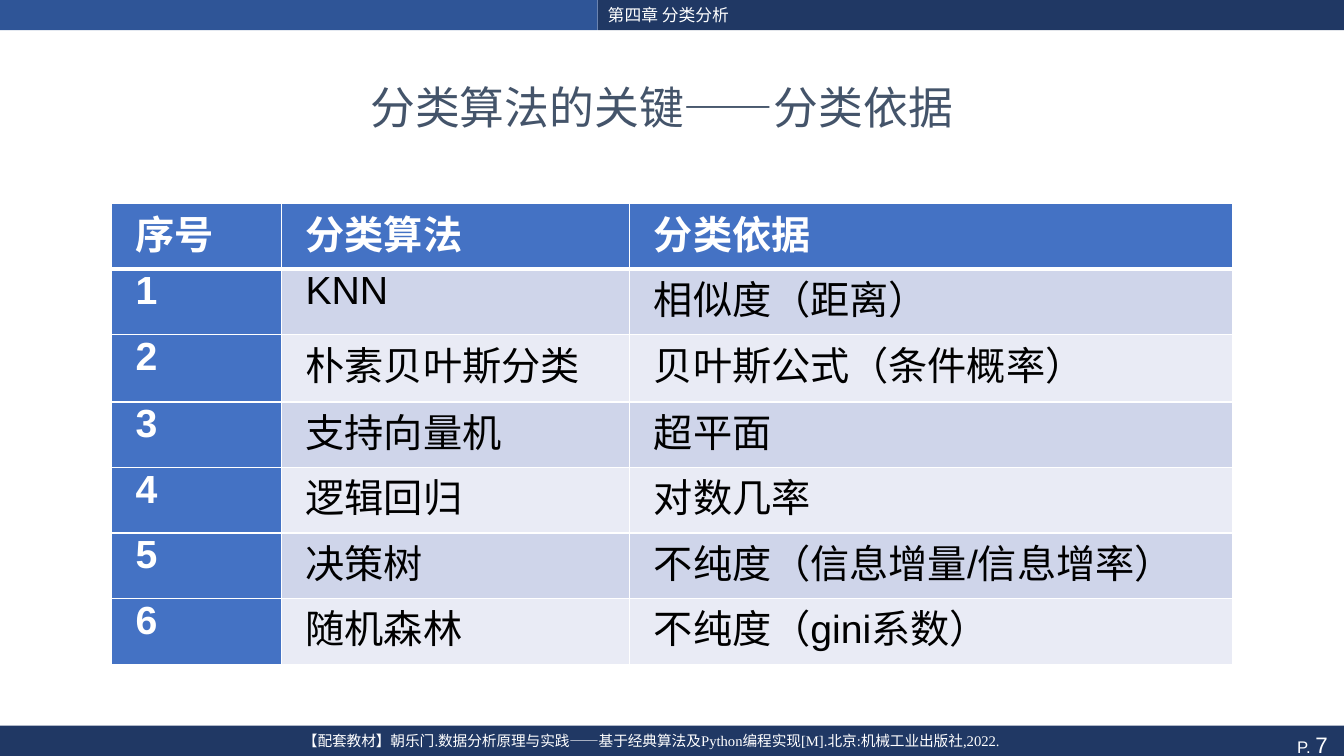
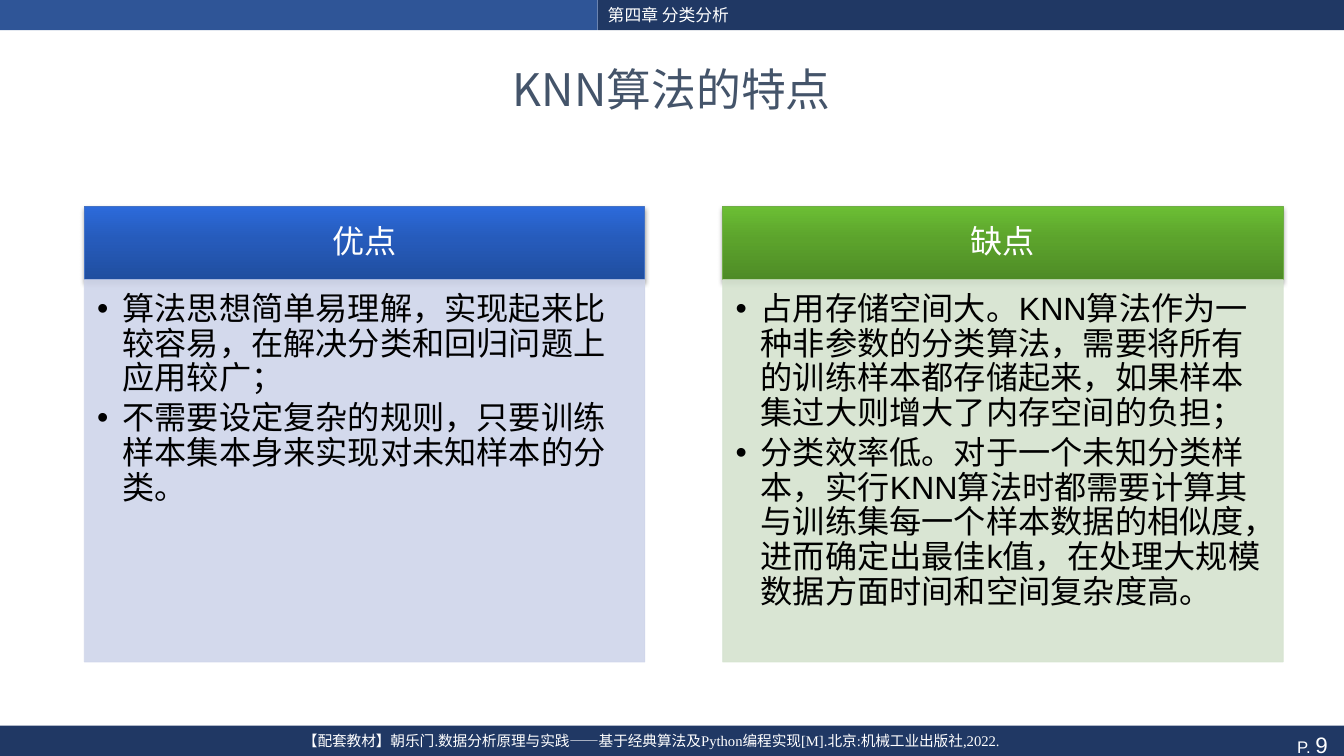
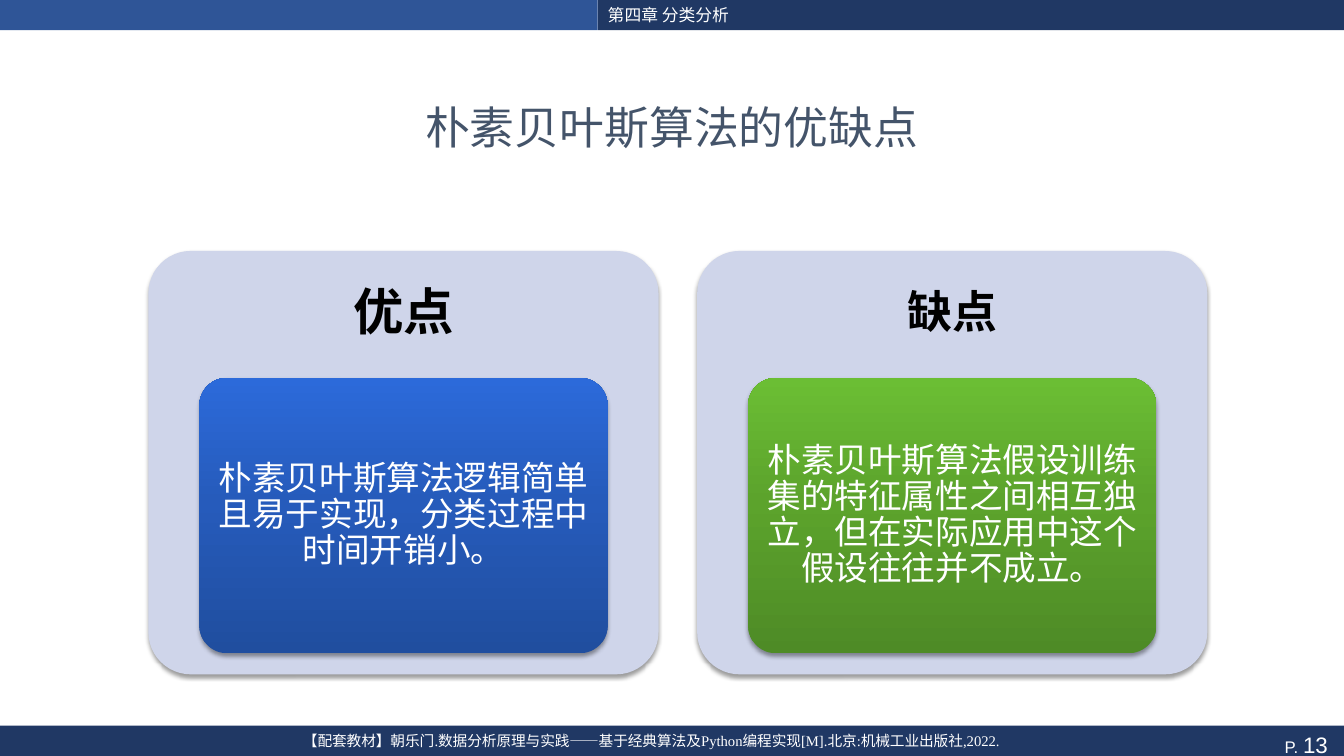
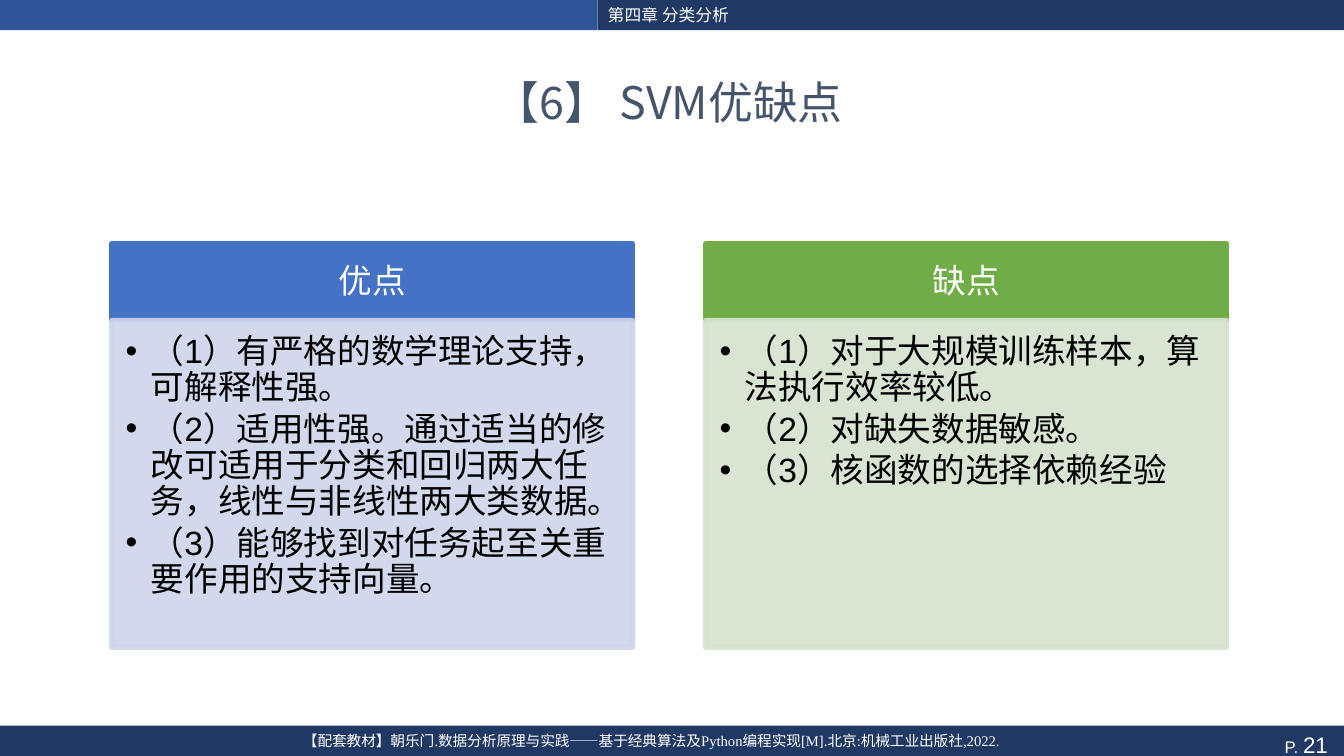
from lxml.etree import SubElement
from pptx import Presentation
from pptx.dml.color import RGBColor
from pptx.enum.shapes import MSO_SHAPE as Kind
from pptx.enum.text import MSO_ANCHOR as Anchor, PP_ALIGN as Align
from pptx.oxml.ns import qn
from pptx.util import Pt

# Shared style
HEX = {
    "white": "FFFFFF", "black": "000000", "slate": "44546A",
    "navy": "203864", "steel": "2F5597",
    "blue": "4472C4", "mist": "CFD5EA", "haze": "E9EBF5",
    "green": "70AD47", "sage": "D5E3CF",
}
GRADS = {
    "blue": [(0, "204E9F"), (55, "265BBB"), (100, "2C6ADA")],
    "green": [(0, "4E8B26"), (55, "5CA32C"), (100, "6BBE34")],
}
SANS, SERIF, HAN = "Arial", "Times New Roman", "Noto Sans CJK SC"
WIDE, HIGH, BAND, SPLIT = 960, 540, 21.6, 427
INSET = (7.2, 3.6, 7.2, 3.6)
TINTS = [("blue", "mist"), ("green", "sage")]

# Content
CHAPTER = "第四章 分类分析"
BOOK = ("【配套教材】朝乐门.数据分析原理与实践——基于经典算法及Python编程实现"
        "[M].北京:机械工业出版社,2022.")
METHODS = [
    ("序号", "分类算法", "分类依据"),
    ("1", "KNN", "相似度（距离）"),
    ("2", "朴素贝叶斯分类", "贝叶斯公式（条件概率）"),
    ("3", "支持向量机", "超平面"),
    ("4", "逻辑回归", "对数几率"),
    ("5", "决策树", "不纯度（信息增量/信息增率）"),
    ("6", "随机森林", "不纯度（gini系数）"),
]
KNN = [
    ("优点", ["算法思想简单易理解，实现起来比较容易，在解决分类和回归问题上应用较广；",
            "不需要设定复杂的规则，只要训练样本集本身来实现对未知样本的分类。"]),
    ("缺点", ["占用存储空间大。KNN算法作为一种非参数的分类算法，需要将所有的训练样本都存储起来，"
            "如果样本集过大则增大了内存空间的负担；",
            "分类效率低。对于一个未知分类样本，实行KNN算法时都需要计算其与训练集每一个样本数据的相似度，"
            "进而确定出最佳k值，在处理大规模数据方面时间和空间复杂度高。"]),
]
BAYES = [
    ("优点", 36, "朴素贝叶斯算法逻辑简单且易于实现，分类过程中时间开销小。"),
    ("缺点", 32, "朴素贝叶斯算法假设训练集的特征属性之间相互独立，但在实际应用中这个假设往往并不成立。"),
]
SVM = [
    ("优点", ["（1）有严格的数学理论支持，可解释性强。",
            "（2）适用性强。通过适当的修改可适用于分类和回归两大任务，线性与非线性两大类数据。",
            "（3）能够找到对任务起至关重要作用的支持向量。"]),
    ("缺点", ["（1）对于大规模训练样本，算法执行效率较低。",
            "（2）对缺失数据敏感。",
            "（3）核函数的选择依赖经验"]),
]


def rgb(name):
    return RGBColor.from_string(HEX[name])


def style(para, size, color, face=SANS, bold=False):
    font = para.font
    font.size, font.bold, font.name = Pt(size), bold, face
    font.color.rgb = rgb(color)
    SubElement(para._p.pPr.find(qn("a:defRPr")), qn("a:ea"), typeface=HAN)


def write(shape, lines, size, color, face=SANS, bold=False, align=Align.LEFT,
          anchor=Anchor.TOP, inset=INSET, tight=False, after=0, bullet=False):
    frame = shape.text_frame
    frame.word_wrap, frame.vertical_anchor = True, anchor
    (frame.margin_left, frame.margin_top,
     frame.margin_right, frame.margin_bottom) = map(Pt, inset)
    for i, line in enumerate(lines):
        para = frame.add_paragraph() if i else frame.paragraphs[0]
        para.text, para.alignment = line, align
        if tight:
            para.line_spacing, para.space_after = 0.9, Pt(after)
        if bullet:
            props = para._p.get_or_add_pPr()
            props.set("marL", str(Pt(18)))
            props.set("indent", str(-Pt(18)))
            SubElement(props, qn("a:buFont"), typeface=SANS)
            SubElement(props, qn("a:buChar"), char="•")
        style(para, size, color, face, bold)


def center(shape, text, size, color, inset=INSET, bold=False):
    write(shape, [text], size, color, bold=bold, align=Align.CENTER, inset=inset,
          anchor=Anchor.MIDDLE, tight=True, after=round(size * 0.35, 1))


def text_box(slide, box):
    return slide.shapes.add_textbox(*map(Pt, box))


def block(slide, box, fill, kind=Kind.RECTANGLE, line=0, grad=False,
          shadow=False, alpha=0):
    shape = slide.shapes.add_shape(kind, *map(Pt, box))
    if kind == Kind.ROUNDED_RECTANGLE:
        shape.adjustments[0] = 0.1
    if grad:
        shape.fill.gradient()
        shape.fill.gradient_angle = 90
        stops = shape.element.spPr.find(".//" + qn("a:gsLst"))
        for stop in list(stops):
            stops.remove(stop)
        for pos, color in GRADS[fill]:
            stop = SubElement(stops, qn("a:gs"), pos=str(pos * 1000))
            SubElement(stop, qn("a:srgbClr"), val=color)
    else:
        shape.fill.solid()
        shape.fill.fore_color.rgb = rgb(fill)
    if line:
        shape.line.width = Pt(line)
        shape.line.color.rgb = rgb(fill)
    else:
        shape.line.fill.background()
    if alpha:
        for color in list(shape.element.spPr.iter(qn("a:srgbClr"))):
            SubElement(color, qn("a:alpha"), val=str(alpha * 1000))
    shape.shadow.inherit = False
    if shadow:
        glow = SubElement(shape.element.spPr.find(qn("a:effectLst")),
                          qn("a:outerShdw"), blurRad=str(Pt(3.1)),
                          dist=str(Pt(2)), dir="5400000", rotWithShape="0")
        tone = SubElement(glow, qn("a:srgbClr"), val=HEX["black"])
        SubElement(tone, qn("a:alpha"), val="38000")
    return shape


def start(deck, title, left, top, page):
    """Add a slide with its bands, footer and title."""
    slide = deck.slides.add_slide(deck.slide_layouts[6])
    block(slide, (0, 0, SPLIT, BAND), "steel")
    foot = block(slide, (0, HIGH - BAND, WIDE, BAND), "navy")
    write(foot, ["P. "], 12, "white", align=Align.RIGHT)
    run = foot.text_frame.paragraphs[0].add_run()
    run.text, run.font.size = f"{page} ", Pt(16)
    head = block(slide, (SPLIT, 0, WIDE - SPLIT, BAND), "navy")
    write(head, [CHAPTER], 12, "white")
    write(text_box(slide, (43, 519, 844.5, 21)), [BOOK], 10.5, "white", SERIF,
          align=Align.CENTER)
    write(text_box(slide, (left, top, 896.4, 64.8)), [title], 32, "slate", HAN,
          align=Align.CENTER, anchor=Anchor.MIDDLE)
    return slide


def edge(cell, side, width):
    line = SubElement(cell._tc.get_or_add_tcPr(), qn("a:" + side), w=str(Pt(width)))
    SubElement(SubElement(line, qn("a:solidFill")), qn("a:srgbClr"), val=HEX["white"])


def grid(slide, rows, left, top, widths, heights):
    table = slide.shapes.add_table(len(rows), len(widths), Pt(left), Pt(top),
                                   Pt(sum(widths)), Pt(sum(heights))).table
    table.horz_banding = False
    for col, width in zip(table.columns, widths):
        col.width = Pt(width)
    for r, (row, height) in enumerate(zip(rows, heights)):
        table.rows[r].height = Pt(height)
        for c, text in enumerate(row):
            cell, key = table.cell(r, c), r == 0 or c == 0
            for side in ("lnL", "lnR", "lnT", "lnB"):
                edge(cell, side, 3 if (r, side) in ((0, "lnB"), (1, "lnT")) else 1)
            cell.fill.solid()
            cell.fill.fore_color.rgb = rgb("blue" if key else ("haze", "mist")[r % 2])
            cell.margin_left = cell.margin_right = Pt(17.3)
            cell.margin_top = cell.margin_bottom = 0
            cell.text = text
            style(cell.text_frame.paragraphs[0], 28,
                  "white" if key else "black", bold=key)


def panels(slide, parts, left, top, width, step, head, body, size, line, inset,
           glossy=False):
    """Two columns: a coloured heading over a tinted bullet list."""
    for i, ((name, lines), (dark, pale)) in enumerate(zip(parts, TINTS)):
        x = left + i * step
        bar = block(slide, (x, top, width, head), dark, line=line,
                    grad=glossy, shadow=glossy)
        center(bar, name, size, "white")
        field = block(slide, (x, top + head, width, body), pale, line=line, alpha=90)
        write(field, lines, size, "black", inset=inset, tight=True,
              after=round(size * 0.15, 1), bullet=True)


def cards(slide, parts, left, top, step):
    """Two rounded cards, each with a heading and an inner card."""
    for i, ((name, size, text), (dark, _)) in enumerate(zip(parts, TINTS)):
        x = left + i * step
        block(slide, (x, top, 364.4, 302.4), "mist", Kind.ROUNDED_RECTANGLE, shadow=True)
        center(text_box(slide, (x, top, 364.4, 90.7)), name, size, "black", bold=True)
        inner = block(slide, (x + 36.4, top + 90.7, 291.6, 196.6), dark,
                      Kind.ROUNDED_RECTANGLE, grad=True, shadow=True)
        center(inner, text, 24, "white", (5, 3.6, 5, 3.6))


def main():
    deck = Presentation()
    deck.slide_width, deck.slide_height = Pt(WIDE), Pt(HIGH)

    slide = start(deck, "分类算法的关键——分类依据", 24.5, 44, 7)
    grid(slide, METHODS, 79.6, 145.6, (121.4, 248.8, 430.6),
         (46.8, 46.8, 48, 46.8, 46.8, 46.8, 46.8))

    slide = start(deck, "KNN算法的特点", 31.7, 31, 9)
    panels(slide, KNN, 60.2, 147.6, 400.4, 456, 52.2, 273, 23, 0.5,
           (9.2, 9.2, 13, 14.4), glossy=True)

    slide = start(deck, "朴素贝叶斯算法的优缺点", 31.7, 58.3, 13)
    cards(slide, BAYES, 106, 179.3, 392)

    slide = start(deck, "【6】 SVM优缺点", 29.5, 40.3, 21)
    panels(slide, SVM, 79.8, 174.2, 372.2, 424.2, 54.8, 233.3, 24, 3.78,
           (10, 10, 13.6, 15))

    deck.save("out.pptx")


if __name__ == "__main__":
    main()
